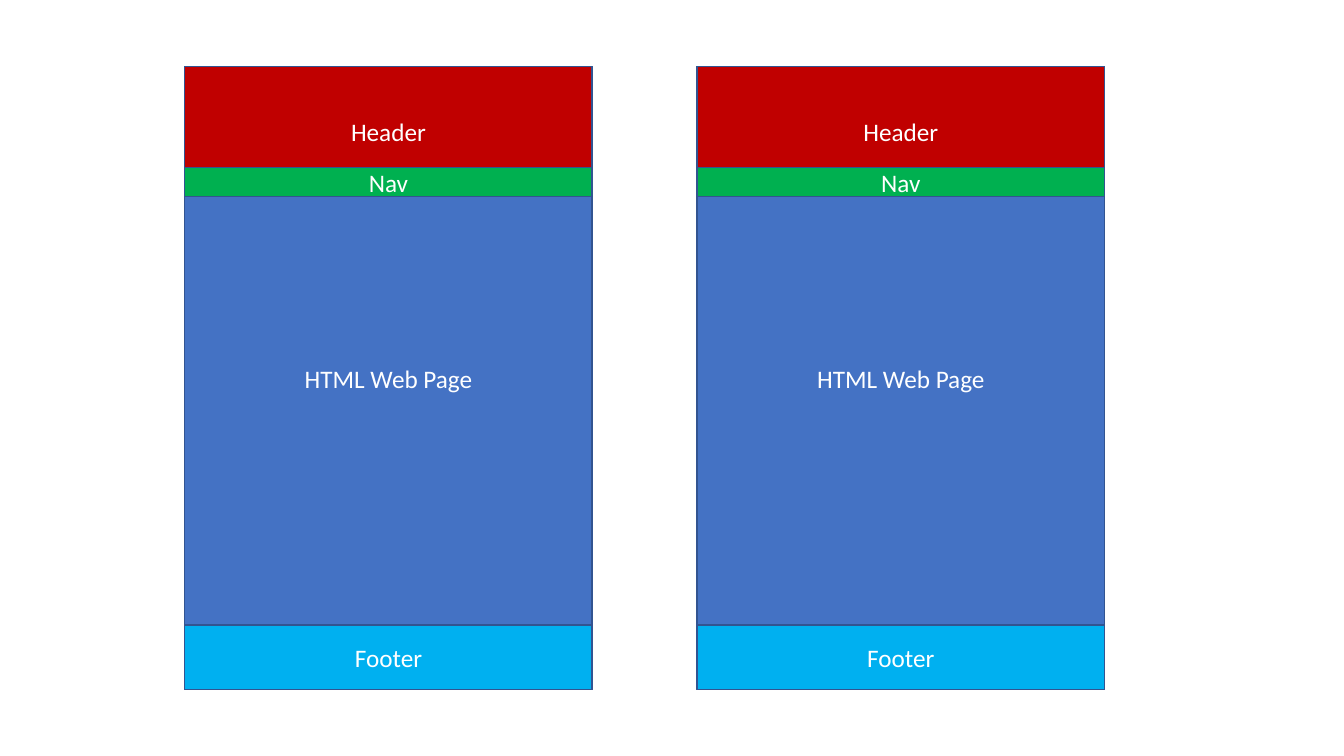
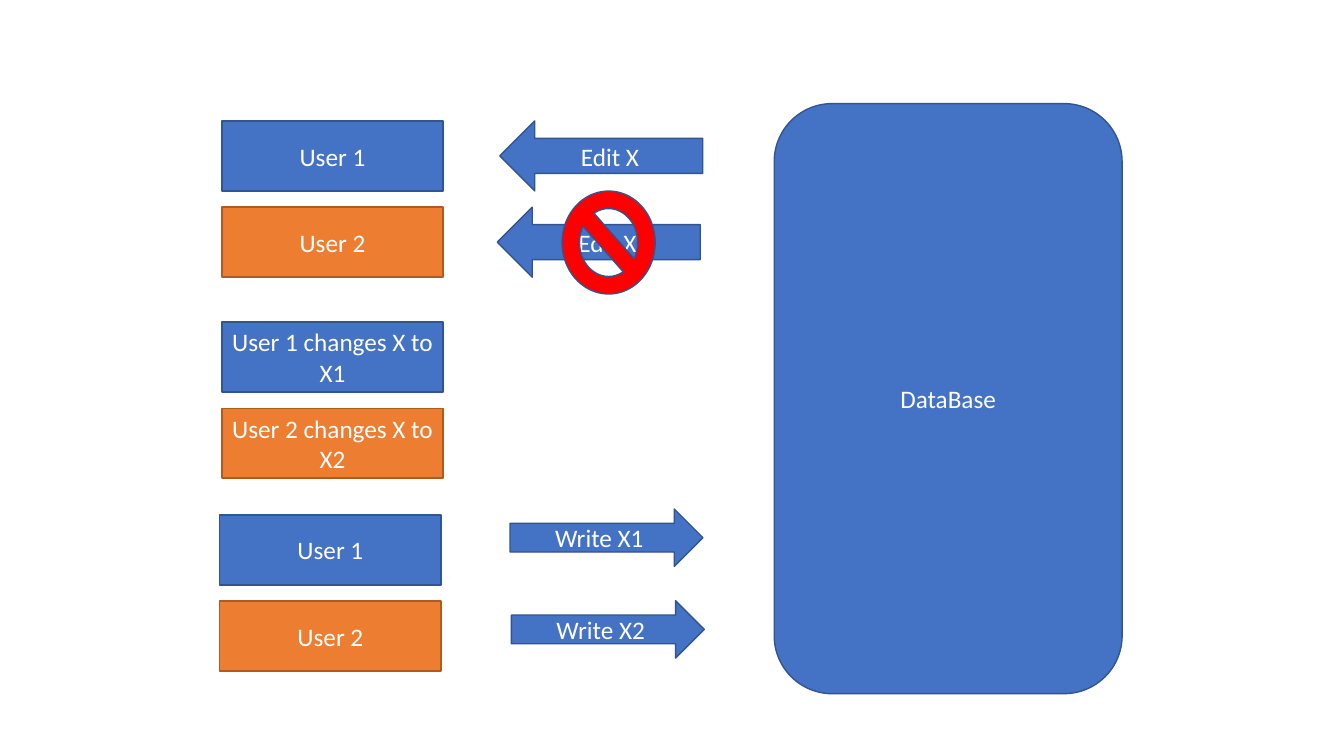
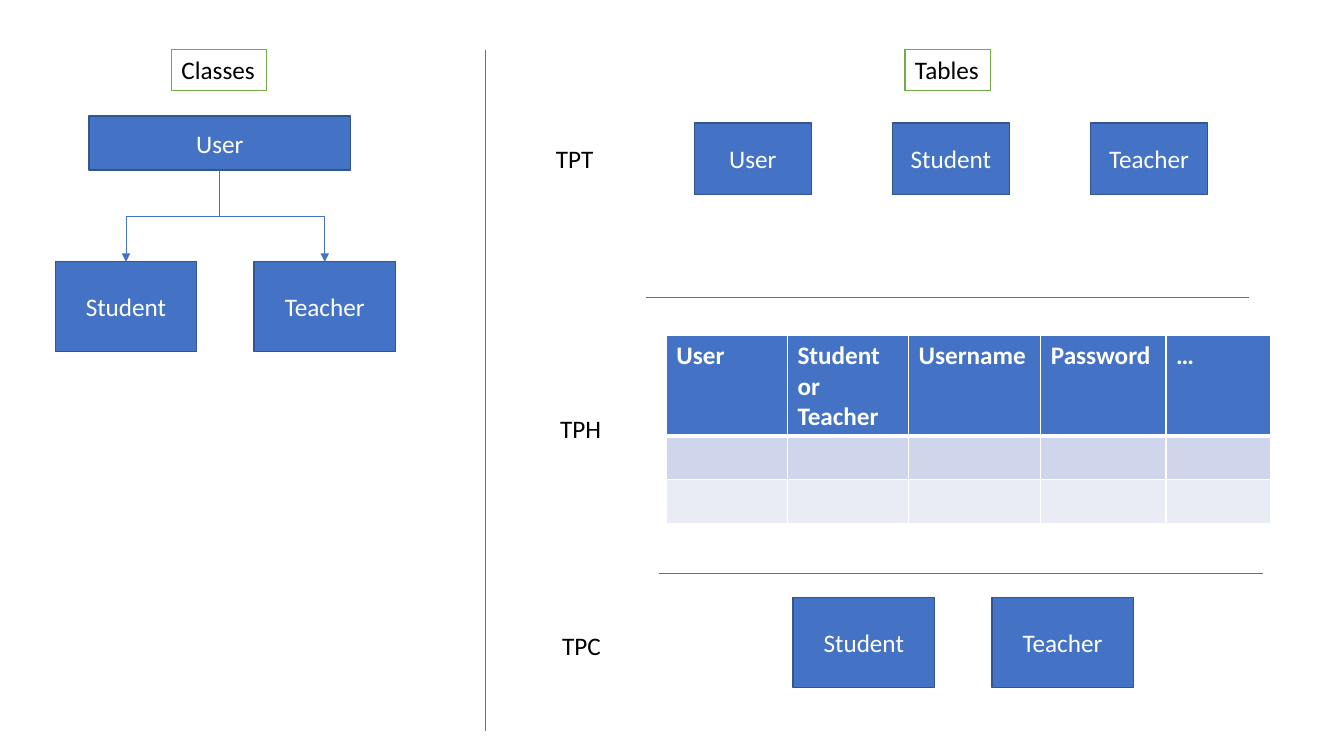
from pptx import Presentation
from pptx.dml.color import RGBColor
from pptx.enum.shapes import MSO_CONNECTOR, MSO_SHAPE
from pptx.enum.text import MSO_ANCHOR, MSO_AUTO_SIZE, PP_ALIGN
from pptx.oxml import parse_xml
from pptx.oxml.ns import nsdecls
from pptx.util import Pt

RECT, ROUND = MSO_SHAPE.RECTANGLE, MSO_SHAPE.ROUNDED_RECTANGLE
LEFT, RIGHT = MSO_SHAPE.LEFT_ARROW, MSO_SHAPE.RIGHT_ARROW
BAN = MSO_SHAPE.NO_SYMBOL
STRAIGHT, ELBOW = MSO_CONNECTOR.STRAIGHT, MSO_CONNECTOR.ELBOW
CENTER, MIDDLE = PP_ALIGN.CENTER, MSO_ANCHOR.MIDDLE
FIT = MSO_AUTO_SIZE.SHAPE_TO_FIT_TEXT

WHITE = RGBColor(0xFF, 0xFF, 0xFF)
BLACK = RGBColor(0x00, 0x00, 0x00)
BLUE = RGBColor(0x44, 0x72, 0xC4)
NAVY = RGBColor(0x32, 0x54, 0x91)
ORANGE = RGBColor(0xED, 0x7D, 0x31)
RUST = RGBColor(0xAF, 0x5C, 0x24)
CRIMSON = RGBColor(0xC0, 0x00, 0x00)
RED = RGBColor(0xFF, 0x00, 0x00)
GREEN = RGBColor(0x00, 0xB0, 0x50)
LEAF = RGBColor(0x70, 0xAD, 0x47)
SKY = RGBColor(0x00, 0xB0, 0xF0)
BAND = RGBColor(0xCF, 0xD5, 0xEA)
PALE = RGBColor(0xE9, 0xEB, 0xF5)

FONT, SIZE = "Calibri", 18


def style(para, color, bold=False):
    font = para.font
    font.name, font.size, font.bold = FONT, Pt(SIZE), bold
    font.color.rgb = color


def block(slide, text, x, y, w, h, fill=BLUE, edge=NAVY, kind=RECT):
    """Filled shape with centred white text."""
    shape = slide.shapes.add_shape(kind, Pt(x), Pt(y), Pt(w), Pt(h))
    shape.shadow.inherit = False
    shape.fill.solid()
    shape.fill.fore_color.rgb = fill
    shape.line.color.rgb = edge
    shape.line.width = Pt(1)
    if text:
        frame = shape.text_frame
        frame.word_wrap = True
        frame.vertical_anchor = MIDDLE
        para = frame.paragraphs[0]
        para.text, para.alignment = text, CENTER
        style(para, WHITE)
    return shape


def label(slide, text, x, y, w, edge=None):
    """One-line text, framed when an edge colour is given."""
    box = slide.shapes.add_textbox(Pt(x), Pt(y), Pt(w), Pt(29))
    frame = box.text_frame
    frame.word_wrap = False
    frame.auto_size = FIT
    frame.text = text
    style(frame.paragraphs[0], BLACK)
    if edge is not None:
        box.fill.solid()
        box.fill.fore_color.rgb = WHITE
        box.line.color.rgb = edge
        box.line.width = Pt(1)


def rule(slide, x1, y1, x2, y2, kind=STRAIGHT):
    line = slide.shapes.add_connector(kind, Pt(x1), Pt(y1), Pt(x2), Pt(y2))
    line.line.color.rgb = BLUE
    line.line.width = Pt(0.5)
    line._element.spPr.append(parse_xml(f"<a:effectLst {nsdecls('a')}/>"))
    return line


def branch(slide, top, child):
    """Arrow that leaves the bottom of one box and drops into another."""
    line = rule(slide, 0, 0, 1, 1, ELBOW)
    line.begin_connect(top, 2)
    line.end_connect(child, 0)
    line.line._get_or_add_ln().append(
        parse_xml(f'<a:tailEnd {nsdecls("a")} type="triangle"/>'))
    # The elbow leaves sideways by default, so its frame is turned upright.
    run, drop = line.width, line.height
    mid_x, mid_y = line.left + run // 2, line.top + drop // 2
    right = line.end_x > line.begin_x
    line.left, line.top = mid_x - drop // 2, mid_y - run // 2
    line.width, line.height = drop, run
    frame = line._element.spPr.xfrm
    frame.set("rot", str((270 if right else 90) * 60000))
    frame.set("flipH", "1" if right else "0")


def page(slide, x, y, w, h):
    foot = 46
    block(slide, "HTML Web Page", x, y, w, h)
    block(slide, "Header", x, y, w, 93, CRIMSON)
    block(slide, "Nav", x, y + 72, w, 21, GREEN)
    block(slide, "Footer", x, y + h - foot, w, foot, SKY)


def users(slide, x, y, tail=("", "")):
    """Two stacked user boxes, with an optional ending for each text."""
    looks = ((BLUE, NAVY), (ORANGE, RUST))
    for i, (fill, edge) in enumerate(looks):
        block(slide, f"User {i + 1}{tail[i]}", x, y + 61.6 * i, 158, 50,
              fill, edge)


def classes(slide, x, y):
    label(slide, "Classes", x + 83, y, 68, LEAF)
    user = block(slide, "User", x + 24, y + 47.5, 187, 38.5)
    for child in pair(slide, x, y + 151.5):
        branch(slide, user, child)


def pair(slide, x, y):
    return [block(slide, text, x + 142 * i, y, 101, 64)
            for i, text in enumerate(("Student", "Teacher"))]


def border(cell, side, width):
    return parse_xml(
        f'<a:{side} {nsdecls("a")} w="{Pt(width)}"><a:solidFill>'
        f'<a:srgbClr val="{WHITE}"/></a:solidFill></a:{side}>')


def grid(slide, x, y):
    heads = ("User", "Student or Teacher", "Username", "Password", "…")
    widths = (86.5, 86.5, 94.5, 89.5, 75)
    fills, highs = (BLUE, BAND, PALE), (72, 31.2, 31.2)
    table = slide.shapes.add_table(
        len(fills), len(heads), Pt(x), Pt(y), Pt(sum(widths)),
        Pt(sum(highs))).table
    for col, width in zip(table.columns, widths):
        col.width = Pt(width)
    for r, (fill, high) in enumerate(zip(fills, highs)):
        table.rows[r].height = Pt(high)
        sides = {"lnL": 1, "lnR": 1, "lnT": 3 if r == 1 else 1,
                 "lnB": 3 if r == 0 else 1}
        for c, head in enumerate(heads):
            cell = table.cell(r, c)
            cell.fill.solid()
            cell.fill.fore_color.rgb = fill
            props = cell._tc.get_or_add_tcPr()
            for i, (side, width) in enumerate(sides.items()):
                props.insert(i, border(cell, side, width))
            if r == 0:
                cell.text = head
                style(cell.text_frame.paragraphs[0], WHITE, True)


def tables(slide, x, y):
    """Three mapping strategies, one below the other."""
    label(slide, "Tables", x + 256.5, y, 61, LEAF)
    label(slide, "TPT", x, y + 63.5, 42)
    for i, text in enumerate(("User", "Student", "Teacher")):
        block(slide, text, x + 106 + 141.5 * i, y + 52.5, 83.5, 51)
    rule(slide, x + 71.5, y + 177, x + 502, y + 177)
    label(slide, "TPH", x + 3, y + 256.5, 44)
    grid(slide, x + 86, y + 204)
    rule(slide, x + 81, y + 374, x + 512, y + 374)
    label(slide, "TPC", x + 4.5, y + 411, 42.5)
    pair(slide, x + 176.5, y + 391.5)


def layout_slide(slide):
    for x in (132, 498):
        page(slide, x, 47.5, 291, 445)


def lock_slide(slide):
    users(slide, 158.5, 86.4)
    users(slide, 158.5, 230, (" changes X to X1", " changes X to X2"))
    users(slide, 157, 367.8)
    block(slide, "DataBase", 553, 74, 248.5, 421.5, kind=ROUND)
    for i in range(2):
        block(slide, "Edit X", 357 - 1.8 * i, 86.4 + 61.6 * i, 145, 50,
              kind=LEFT)
        block(slide, f"Write X{i + 1}", 364.3 + i, 363.6 + 65.5 * i,
              137.8, 41, kind=RIGHT)
    block(slide, "", 401.5, 136.5, 66.5, 73.5, RED, kind=BAN)


def model_slide(slide):
    classes(slide, 39.5, 35.5)
    rule(slide, 347, 35.5, 347, 522)
    tables(slide, 390, 35.5)


def main():
    deck = Presentation()
    deck.slide_width, deck.slide_height = Pt(960), Pt(540)
    blank = deck.slide_layouts[6]
    for draw in (layout_slide, lock_slide, model_slide):
        draw(deck.slides.add_slide(blank))
    deck.save("out.pptx")


if __name__ == "__main__":
    main()
